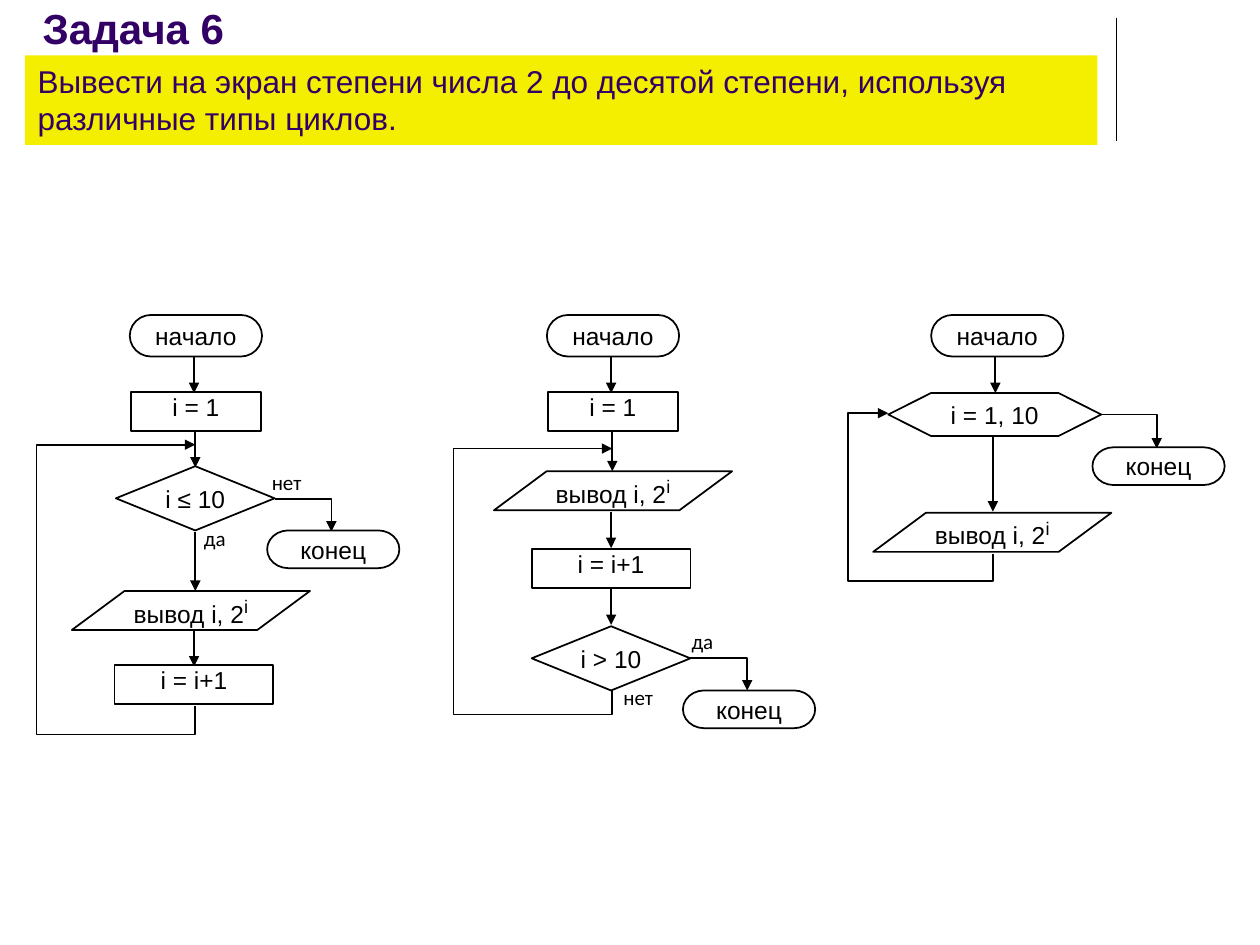
from lxml import etree
from pptx import Presentation
from pptx.dml.color import RGBColor
from pptx.enum.shapes import MSO_CONNECTOR as CONN, MSO_SHAPE as SHAPE
from pptx.enum.text import MSO_ANCHOR as ANCHOR, PP_ALIGN as ALIGN
from pptx.oxml.ns import qn
from pptx.util import Inches, Pt

BLACK, WHITE, PURPLE, YELLOW = "000000", "FFFFFF", "330066", "F4EE00"

# Flowchart blocks: preset, width, height, text anchor
BLOCKS = {
    "start": (SHAPE.FLOWCHART_TERMINATOR, 1.05, 0.33, ANCHOR.MIDDLE),
    "end": (SHAPE.FLOWCHART_TERMINATOR, 1.05, 0.3, ANCHOR.MIDDLE),
    "init": (SHAPE.RECTANGLE, 1.03, 0.31, ANCHOR.TOP),
    "step": (SHAPE.RECTANGLE, 1.26, 0.31, ANCHOR.TOP),
    "test": (SHAPE.FLOWCHART_DECISION, 1.26, 0.51, ANCHOR.MIDDLE),
    "output": (SHAPE.PARALLELOGRAM, 1.89, 0.31, ANCHOR.MIDDLE),
    "loop": (SHAPE.FLOWCHART_PREPARATION, 1.69, 0.34, ANCHOR.MIDDLE),
}


def color(hex_value):
    return RGBColor.from_string(hex_value)


def add_run(p, text, size, hex_value=BLACK, font="Arial", bold=False):
    r = p.add_run()
    r.text = text
    r.font.size, r.font.name, r.font.bold = Pt(size), font, bold
    r.font.color.rgb = color(hex_value)
    return r


def no_insets(tf):
    tf.margin_left = tf.margin_right = tf.margin_top = tf.margin_bottom = 0


def block(group, kind, left, top, text, power=None):
    preset, width, height, anchor = BLOCKS[kind]
    s = group.shapes.add_shape(preset, Inches(left), Inches(top),
                               Inches(width), Inches(height))
    s.shadow.inherit = False
    s.fill.solid()
    s.fill.fore_color.rgb = color(WHITE)
    s.line.color.rgb = color(BLACK)
    s.line.width = Pt(1)
    if kind == "output":
        s.adjustments[0] = 1.35
    tf = s.text_frame
    no_insets(tf)
    tf.word_wrap = kind != "loop"
    tf.vertical_anchor = anchor
    p = tf.paragraphs[0]
    p.alignment = ALIGN.CENTER
    add_run(p, text, 14)
    if power:
        r = add_run(p, power, 18)
        r.font._element.set("baseline", "30000")


def label(group, left, top, text):
    s = group.shapes.add_textbox(Inches(left), Inches(top), Inches(0.57), Inches(0.33))
    tf = s.text_frame
    tf.word_wrap = True
    no_insets(tf)
    p = tf.paragraphs[0]
    p.alignment = ALIGN.CENTER
    add_run(p, text, 12, font="Calibri")


def straight(shapes, start, end, width):
    s = shapes.add_connector(CONN.STRAIGHT, *map(Inches, start + end))
    s.line.color.rgb = color(BLACK)
    s.line.width = Pt(width)
    etree.SubElement(s._element.spPr, qn("a:effectLst"))
    return s


def arrow(group, *points):
    """Arrow through the points: a connector, or an open outline if it bends."""
    if len(points) == 2:
        s = straight(group.shapes, *points, 1)
    else:
        corners = [tuple(map(Inches, point)) for point in points]
        fb = group.shapes.build_freeform(*corners[0])
        fb.add_line_segments(corners[1:], close=False)
        s = fb.convert_to_shape()
        s.shadow.inherit = False
        s.fill.background()
        s.line.color.rgb = color(BLACK)
        s.line.width = Pt(1)
    etree.SubElement(s.line._get_or_add_ln(), qn("a:tailEnd"), type="triangle")


def down(group, x, top, bottom):
    arrow(group, (x, top), (x, bottom))


def exit_arrow(group, x, y, bottom):
    arrow(group, (x, y), (x + 0.45, y), (x + 0.45, bottom))


def loop_back(group, x, top, bottom, left, y, end_x):
    arrow(group, (x, top), (x, bottom), (left, bottom), (left, y), (end_x, y))


def opening(group, left):
    down(group, left + 0.51, 2.83, 3.12)
    block(group, "start", left, 2.5, "начало")


def output(group, left, top):
    block(group, "output", left, top, "вывод i, 2", "i")


def while_chart(group):
    down(group, 1.55, 3.43, 3.71)
    down(group, 1.55, 4.22, 4.69)
    down(group, 1.54, 5, 5.29)
    loop_back(group, 1.55, 5.6, 5.83, 0.29, 3.53, 1.55)
    exit_arrow(group, 2.18, 3.96, 4.22)
    opening(group, 1.03)
    block(group, "init", 1.04, 3.11, "i = 1")
    block(group, "test", 0.92, 3.7, "i ≤ 10")
    label(group, 1.42, 4.17, "да")
    label(group, 1.99, 3.73, "нет")
    output(group, 0.57, 4.69)
    block(group, "step", 0.91, 5.28, "i = i+1")
    block(group, "end", 2.12, 4.21, "конец")


def until_chart(group):
    down(group, 4.86, 3.43, 3.74)
    down(group, 4.85, 4.06, 4.35)
    down(group, 4.85, 4.67, 4.96)
    loop_back(group, 4.86, 5.47, 5.67, 3.6, 3.56, 4.86)
    exit_arrow(group, 5.48, 5.22, 5.48)
    opening(group, 4.34)
    block(group, "init", 4.35, 3.11, "i = 1")
    output(group, 3.92, 3.74)
    block(group, "step", 4.22, 4.36, "i = i+1")
    block(group, "test", 4.22, 4.97, "i > 10")
    label(group, 4.78, 5.43, "нет")
    label(group, 5.29, 4.99, "да")
    block(group, "end", 5.42, 5.48, "конец")


def for_chart(group):
    down(group, 7.88, 3.46, 4.06)
    loop_back(group, 7.88, 4.4, 4.61, 6.73, 3.28, 7.05)
    exit_arrow(group, 8.73, 3.29, 3.56)
    opening(group, 7.39)
    block(group, "loop", 7.05, 3.12, "i = 1, 10")
    output(group, 6.93, 4.07)
    block(group, "end", 8.67, 3.55, "конец")


def heading(slide):
    # Title
    s = slide.shapes.add_textbox(Inches(0.24), 0, Inches(8.25), Inches(0.47))
    tf = s.text_frame
    tf.word_wrap = True
    tf.vertical_anchor = ANCHOR.BOTTOM
    add_run(tf.paragraphs[0], "Задача 6", 24, PURPLE, bold=True)

    # Task statement on a yellow band
    s = slide.shapes.add_shape(SHAPE.RECTANGLE, Inches(0.2), Inches(0.44),
                               Inches(8.51), Inches(0.71))
    s.shadow.inherit = False
    s.fill.solid()
    s.fill.fore_color.rgb = color(YELLOW)
    s.line.fill.background()
    tf = s.text_frame
    tf.word_wrap = True
    tf.vertical_anchor = ANCHOR.TOP
    p = tf.paragraphs[0]
    p.alignment = ALIGN.LEFT
    add_run(p, "Вывести на экран степени числа 2 до десятой степени, "
               "используя различные типы циклов.", 18, PURPLE)


def main():
    prs = Presentation()
    prs.slide_width, prs.slide_height = Inches(10), Inches(7.5)
    slide = prs.slides.add_slide(prs.slide_layouts[6])

    # Vertical rule and heading
    straight(slide.shapes, (8.86, 0.14), (8.86, 1.12), 0.75)
    heading(slide)

    # One flowchart per kind of loop
    for chart in (while_chart, until_chart, for_chart):
        chart(slide.shapes.add_group_shape())

    prs.save("out.pptx")


if __name__ == "__main__":
    main()
